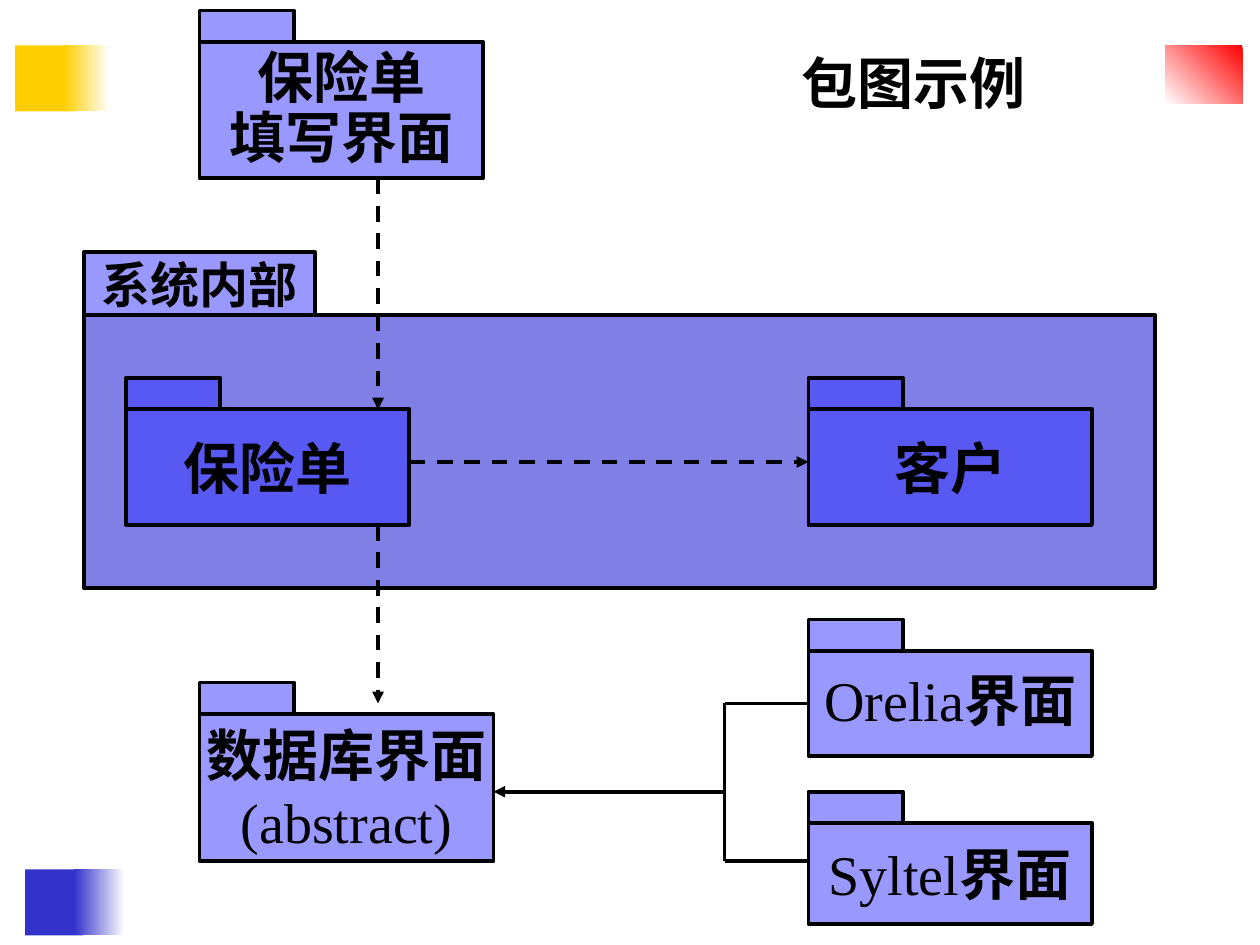
from dataclasses import dataclass
from typing import Optional

from lxml import etree
from pptx import Presentation
from pptx import util as u
from pptx.dml import color
from pptx.enum import dml, shapes, text
from pptx.oxml import ns

WIDTH, HEIGHT = u.Inches(10), u.Inches(7.5)
COLUMNS, ROWS = 120, 90
COLOURS = {
    "ink": "000000", "white": "FFFFFF", "yellow": "FFCF01", "blue": "3333CC",
    "red": "FF0000", "package": "3333FF", "system": "0000CC",
}
TAB_SIZE = (9, 3)
LINE_WIDTH = u.Pt(2.25)


@dataclass
class Run:
    text: str
    bold: bool = True


@dataclass
class Label:
    paragraphs: list[list[Run]]
    font: str = "Times New Roman"
    size: int = 32
    spacing: Optional[float] = None


@dataclass
class Package:
    column: float
    row: float
    width: float
    height: float
    label: Optional[Label] = None
    colour: str = "package"
    tab_size: tuple[float, float] = TAB_SIZE
    tab_label: Optional[Label] = None


@dataclass
class Link:
    start: tuple[float, float]
    end: tuple[float, float]
    dashed: bool = False
    arrow: bool = False
    target: Optional[str] = None  # package whose left side the link joins


@dataclass
class Block:
    left: float
    top: float
    width: float
    height: float
    colours: list[str]
    angle: float = 180


def rgb(name: str) -> color.RGBColor:
    return color.RGBColor.from_string(COLOURS[name])


def across(column: float) -> int:
    return round(WIDTH * column / COLUMNS)


def down(row: float) -> int:
    return round(HEIGHT * row / ROWS)


def apply(target, values: dict) -> None:
    for name, value in values.items():
        setattr(target, name, value)


def add_rectangle(slide, left: int, top: int, width: int, height: int):
    shape = slide.shapes.add_shape(shapes.MSO_SHAPE.RECTANGLE, left, top, width, height)
    shape.shadow.inherit = False
    return shape


def write_label(frame, label: Label) -> None:
    for index, runs in enumerate(label.paragraphs):
        paragraph = frame.add_paragraph() if index else frame.paragraphs[0]
        apply(paragraph, {"alignment": text.PP_ALIGN.CENTER, "line_spacing": label.spacing})
        for part in runs:
            run = paragraph.add_run()
            run.text = part.text
            apply(run.font, {"name": label.font, "size": u.Pt(label.size), "bold": part.bold})
            run.font.color.rgb = rgb("ink")


def draw_block(slide, block: Block) -> None:
    shape = add_rectangle(slide, round(WIDTH * block.left), round(HEIGHT * block.top),
                          round(WIDTH * block.width), round(HEIGHT * block.height))
    shape.line.fill.background()
    if len(block.colours) == 1:
        shape.fill.solid()
        shape.fill.fore_color.rgb = rgb(block.colours[0])
        return
    shape.fill.gradient()
    shape.fill.gradient_angle = block.angle
    for stop, name in zip(shape.fill.gradient_stops, block.colours):
        stop.color.rgb = rgb(name)


def draw_box(slide, column: float, row: float, width: float, height: float,
             colour: str, label: Optional[Label]):
    shape = add_rectangle(slide, across(column), down(row), across(width), down(height))
    shape.fill.solid()
    shape.fill.fore_color.rgb = rgb(colour)
    fill_colour = shape.fill._xPr.find(".//" + ns.qn("a:srgbClr"))
    etree.SubElement(fill_colour, ns.qn("a:alpha"), val="50000")
    shape.line.color.rgb = rgb("ink")
    shape.line.width = LINE_WIDTH
    if label:
        apply(shape.text_frame, {"word_wrap": False, "vertical_anchor": text.MSO_ANCHOR.MIDDLE})
        write_label(shape.text_frame, label)
    return shape


def draw_package(slide, package: Package):
    body = draw_box(slide, package.column, package.row, package.width, package.height,
                    package.colour, package.label)
    tab_width, tab_height = package.tab_size
    draw_box(slide, package.column, package.row - tab_height, tab_width, tab_height,
             "package", package.tab_label)
    return body


def draw_link(slide, link: Link, bodies: dict) -> None:
    (x1, y1), (x2, y2) = link.start, link.end
    connector = slide.shapes.add_connector(
        shapes.MSO_CONNECTOR.STRAIGHT, across(x1), down(y1), across(x2), down(y2))
    if link.target:
        connector.end_connect(bodies[link.target], 1)
    connector.line.color.rgb = rgb("ink")
    connector.line.width = LINE_WIDTH
    if link.dashed:
        connector.line.dash_style = dml.MSO_LINE.DASH
    if link.arrow:
        etree.SubElement(connector.line._get_or_add_ln(), ns.qn("a:tailEnd"), type="triangle")
    etree.SubElement(connector._element.spPr, ns.qn("a:effectLst"))


BLOCKS = [
    Block(0.012, 0.048, 0.048, 0.07, ["yellow"]),
    Block(0.051, 0.048, 0.036, 0.07, ["white", "yellow"]),
    Block(0.02, 0.92, 0.046, 0.07, ["blue"]),
    Block(0.059, 0.92, 0.04, 0.07, ["white", "blue"]),
    Block(0.925, 0.048, 0.061, 0.062, ["red", "white"], 225),
]
TITLE = Label([[Run("包图示例")]], "Cambria")
PACKAGES = {
    "system": Package(8, 30, 102, 26, colour="system", tab_size=(22, 6),
                      tab_label=Label([[Run("系统内部")]], "Cambria", 28)),
    "policy": Package(12, 39, 27, 11, Label([[Run("保险单")]])),
    "customer": Package(77, 39, 27, 11, Label([[Run("客户")]])),
    "form": Package(19, 4, 27, 13, Label([[Run("保险单")], [Run("填写界面")]], spacing=0.9)),
    "database": Package(19, 68, 28, 14, Label([[Run("数据库界面")], [Run("(abstract)", False)]])),
    "first vendor": Package(77, 62, 27, 10,
                            Label([[Run("Orelia", False), Run("界面")]], spacing=0.9)),
    "second vendor": Package(77, 78.4, 27, 9.6, Label([[Run("Syltel", False), Run("界面")]])),
}
LINKS = [
    Link((39, 44), (77, 44), dashed=True, arrow=True),
    Link((36, 17), (36, 39), dashed=True, arrow=True),
    Link((36, 50), (36, 67), dashed=True, arrow=True),
    Link((69, 75.4), (47, 75.4), arrow=True),
    Link((69, 67), (77, 67), target="first vendor"),
    Link((69, 82), (77, 82)),
    Link((69, 67), (69, 82)),
]


def main() -> None:
    presentation = Presentation()
    apply(presentation, {"slide_width": WIDTH, "slide_height": HEIGHT})
    slide = presentation.slides.add_slide(presentation.slide_layouts[6])

    # Corner decoration
    for block in BLOCKS:
        draw_block(slide, block)

    # Title
    title = slide.shapes.add_textbox(across(64), down(4), across(46), down(7.7))
    title.text_frame.word_wrap = True
    write_label(title.text_frame, TITLE)

    # Packages and their dependencies
    bodies = {name: draw_package(slide, package) for name, package in PACKAGES.items()}
    for link in LINKS:
        draw_link(slide, link, bodies)

    presentation.save("out.pptx")


if __name__ == "__main__":
    main()
